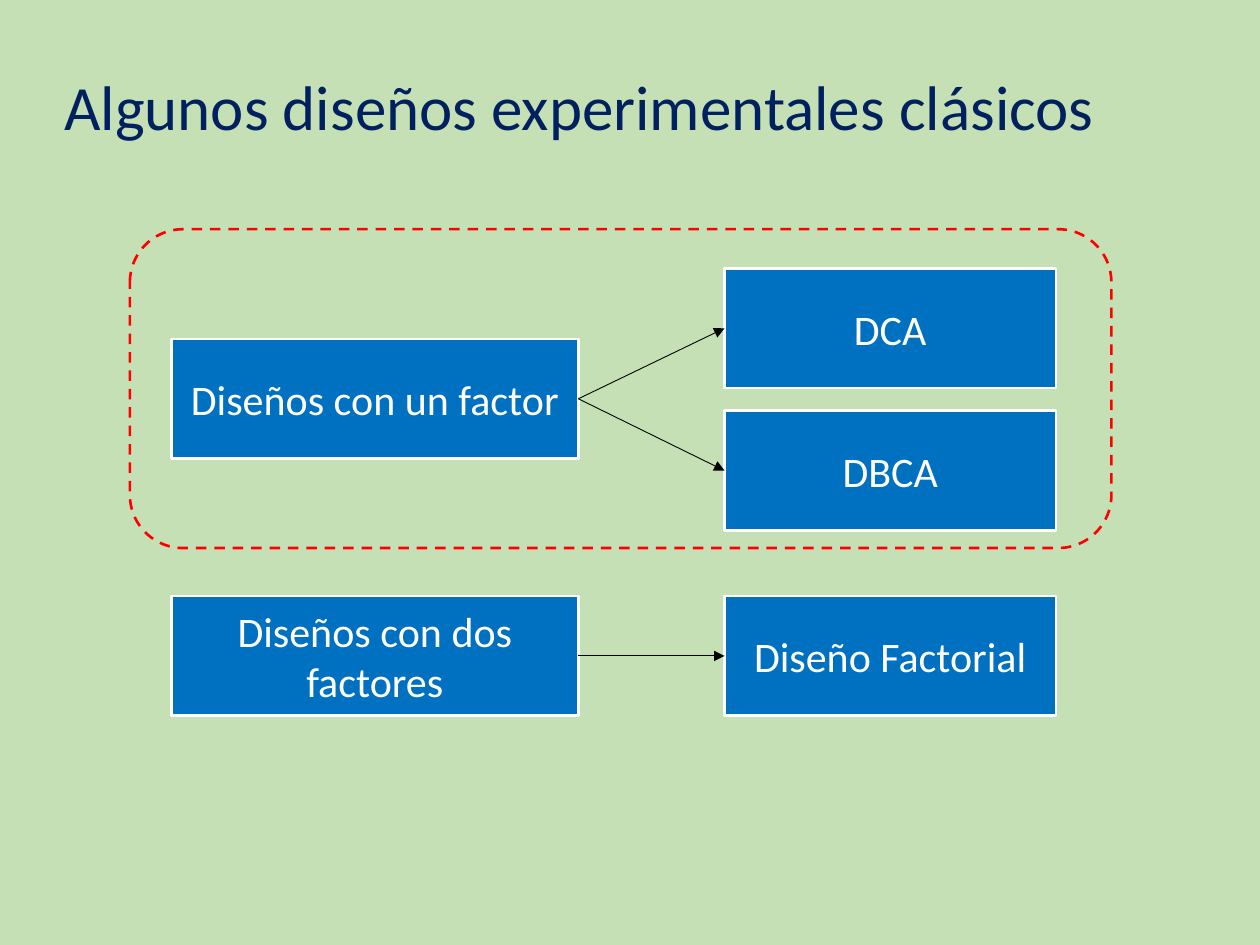
from dataclasses import dataclass

from lxml.etree import SubElement
from pptx import Presentation
from pptx.dml.color import RGBColor
from pptx.enum.dml import MSO_LINE
from pptx.enum.shapes import MSO_CONNECTOR, MSO_SHAPE
from pptx.enum.text import MSO_ANCHOR, MSO_AUTO_SIZE, PP_ALIGN
from pptx.oxml.ns import qn
from pptx.shapes.autoshape import Shape
from pptx.slide import Slide
from pptx.text.text import TextFrame
from pptx.util import Pt


@dataclass(frozen=True)
class Theme:
    font: str = "Calibri"
    back: RGBColor = RGBColor(0xC5, 0xE0, 0xB4)
    title: RGBColor = RGBColor(0x00, 0x20, 0x60)
    box: RGBColor = RGBColor(0x00, 0x70, 0xC0)
    light: RGBColor = RGBColor(0xFF, 0xFF, 0xFF)
    arrow: RGBColor = RGBColor(0x00, 0x00, 0x00)
    frame: RGBColor = RGBColor(0xFF, 0x00, 0x00)
    title_size: float = 36
    box_size: float = 24
    edge: float = 1.5
    thin: float = 0.5


@dataclass(frozen=True)
class Column:
    left: float
    width: float


@dataclass(frozen=True)
class Box:
    text: str
    top: float


@dataclass(frozen=True)
class Group:
    """A kind of design and the designs it leads to."""
    source: Box
    targets: tuple[Box, ...]


THEME = Theme()
SOURCE = Column(97.9, 232.6)
TARGET = Column(414, 189.4)
HEIGHT = 68.4
RIGHT_SITE, LEFT_SITE = 3, 1
GROUPS = (
    Group(Box("Diseños con un factor", 193.7),
          (Box("DCA", 153.4), Box("DBCA", 234.7))),
    Group(Box("Diseños con dos factores", 340.6),
          (Box("Diseño Factorial", 340.6),)),
)


def write(frame: TextFrame, text: str, size: float,
          color: RGBColor, align: PP_ALIGN) -> None:
    frame.text = text
    layout = {"word_wrap": True, "auto_size": MSO_AUTO_SIZE.NONE,
              "vertical_anchor": MSO_ANCHOR.MIDDLE}
    for name, value in layout.items():
        setattr(frame, name, value)
    line = frame.paragraphs[0]
    line.alignment = align
    font = line.runs[0].font
    for name, value in {"name": THEME.font, "size": Pt(size)}.items():
        setattr(font, name, value)
    font.color.rgb = color


def add_title(slide: Slide, text: str) -> None:
    title = slide.shapes.title
    place = {"left": 29.5, "top": 10.8, "width": 662.4, "height": 104.4}
    for name, value in place.items():
        setattr(title, name, Pt(value))
    write(title.text_frame, text, THEME.title_size, THEME.title, PP_ALIGN.LEFT)
    title.text_frame.paragraphs[0].line_spacing = 0.9


def add_outline(slide: Slide, kind: MSO_SHAPE, left: float, top: float,
                width: float, height: float, color: RGBColor) -> Shape:
    shape = slide.shapes.add_shape(
        kind, Pt(left), Pt(top), Pt(width), Pt(height))
    shape.shadow.inherit = False
    shape.line.color.rgb = color
    shape.line.width = Pt(THEME.edge)
    return shape


def add_box(slide: Slide, box: Box, column: Column) -> Shape:
    shape = add_outline(slide, MSO_SHAPE.RECTANGLE, column.left, box.top,
                        column.width, HEIGHT, THEME.light)
    shape.fill.solid()
    shape.fill.fore_color.rgb = THEME.box
    write(shape.text_frame, box.text, THEME.box_size, THEME.light,
          PP_ALIGN.CENTER)
    return shape


def add_arrow(slide: Slide, start: Shape, end: Shape) -> None:
    arrow = slide.shapes.add_connector(MSO_CONNECTOR.STRAIGHT, 0, 0, 0, 0)
    arrow.begin_connect(start, RIGHT_SITE)
    arrow.end_connect(end, LEFT_SITE)
    arrow.line.color.rgb = THEME.arrow
    arrow.line.width = Pt(THEME.thin)
    props = arrow.element.spPr
    SubElement(props.find(qn("a:ln")), qn("a:tailEnd"), type="triangle")
    SubElement(props, qn("a:effectLst"))


def add_group(slide: Slide, group: Group) -> None:
    source = add_box(slide, group.source, SOURCE)
    targets = [add_box(slide, box, TARGET) for box in group.targets]
    for target in targets:
        add_arrow(slide, source, target)


def add_frame(slide: Slide) -> None:
    frame = add_outline(slide, MSO_SHAPE.ROUNDED_RECTANGLE,
                        74.2, 131, 560.9, 182.2, THEME.frame)
    frame.fill.background()
    frame.line.dash_style = MSO_LINE.DASH


def main() -> None:
    deck = Presentation()
    deck.slide_width, deck.slide_height = Pt(720), Pt(540)
    slide = deck.slides.add_slide(deck.slide_layouts.get_by_name("Title Only"))
    slide.background.fill.solid()
    slide.background.fill.fore_color.rgb = THEME.back
    add_title(slide, "Algunos diseños experimentales clásicos")
    for group in GROUPS:
        add_group(slide, group)
    add_frame(slide)
    deck.save("out.pptx")


if __name__ == "__main__":
    main()
